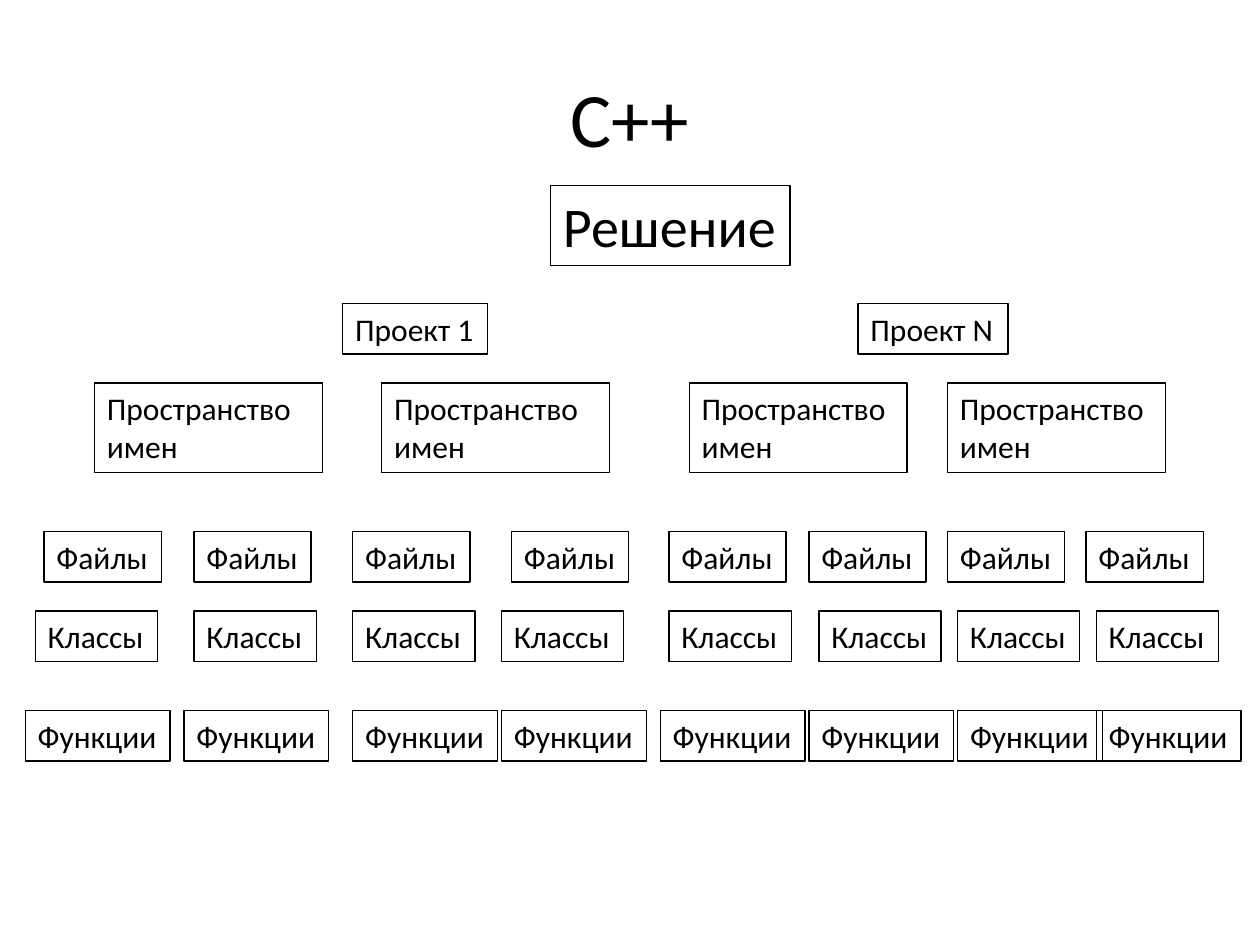
from dataclasses import dataclass

from pptx import Presentation
from pptx.dml.color import RGBColor
from pptx.enum.text import MSO_ANCHOR, MSO_AUTO_SIZE, PP_ALIGN
from pptx.util import Inches, Pt

CENTER, LEFT = PP_ALIGN.CENTER, PP_ALIGN.LEFT
MIDDLE, TOP = MSO_ANCHOR.MIDDLE, MSO_ANCHOR.TOP
GROW = MSO_AUTO_SIZE.SHAPE_TO_FIT_TEXT
FONT = "Calibri"
COLORS = {"text": "000000", "line": "000000", "background": "FFFFFF"}


@dataclass(frozen=True)
class Level:
    """Boxes on one height of the hierarchy: labels, left edges, widths."""
    labels: list[str]
    lefts: list[float]
    widths: list[float]
    top: float
    height: float = 0.4
    size: int = 18
    wrap: bool = False


def repeated(label: str, lefts: list[float], width: float, top: float) -> Level:
    """A level whose boxes share one label and one width."""
    return Level([label] * len(lefts), lefts, [width] * len(lefts), top)


def add_text(slide, text: str, left: float, top: float, width: float,
             height: float, size: int, align=LEFT, anchor=TOP, wrap: bool = True):
    shape = slide.shapes.add_textbox(Inches(left), Inches(top),
                                     Inches(width), Inches(height))
    frame = shape.text_frame
    frame.word_wrap = wrap
    frame.vertical_anchor = anchor
    paragraph = frame.paragraphs[0]
    paragraph.alignment = align
    run = paragraph.add_run()
    run.text = text
    run.font.name = FONT
    run.font.size = Pt(size)
    run.font.color.rgb = RGBColor.from_string(COLORS["text"])
    return shape


def add_level(slide, level: Level) -> None:
    for label, left, width in zip(level.labels, level.lefts, level.widths):
        box = add_text(slide, label, left, level.top, width, level.height,
                       level.size, wrap=level.wrap)
        box.text_frame.auto_size = GROW
        box.line.color.rgb = RGBColor.from_string(COLORS["line"])
        box.line.width = Pt(0.75)


LEVELS = [
    Level(["Решение"], [4.37], [1.9], 1.47, height=0.64, size=32),
    Level(["Проект 1", "Проект N"], [2.72, 6.81], [1.15, 1.19], 2.41),
    Level(["Пространство имен"] * 4, [0.75, 3.03, 5.47, 7.52],
          [1.81, 1.81, 1.73, 1.73], 3.04, height=0.71, wrap=True),
    repeated("Файлы", [0.35, 1.54, 2.8, 4.06, 5.31, 6.42, 7.52, 8.62], 0.93, 4.22),
    repeated("Классы", [0.28, 1.54, 2.8, 3.98, 5.31, 6.5, 7.6, 8.7], 0.97, 4.85),
    repeated("Функции", [0.2, 1.46, 2.8, 3.98, 5.24, 6.42, 7.6, 8.7], 1.15, 5.64),
]

# Slide
presentation = Presentation()
presentation.slide_width = Inches(10)
presentation.slide_height = Inches(7.5)
slide = presentation.slides.add_slide(presentation.slide_layouts[6])
slide.background.fill.solid()
slide.background.fill.fore_color.rgb = RGBColor.from_string(COLORS["background"])

# Title
add_text(slide, "С++", 0.5, 0.3, 9, 1.25, 44, CENTER, MIDDLE)

# Hierarchy from the solution down to the functions
for level in LEVELS:
    add_level(slide, level)

presentation.save("out.pptx")
